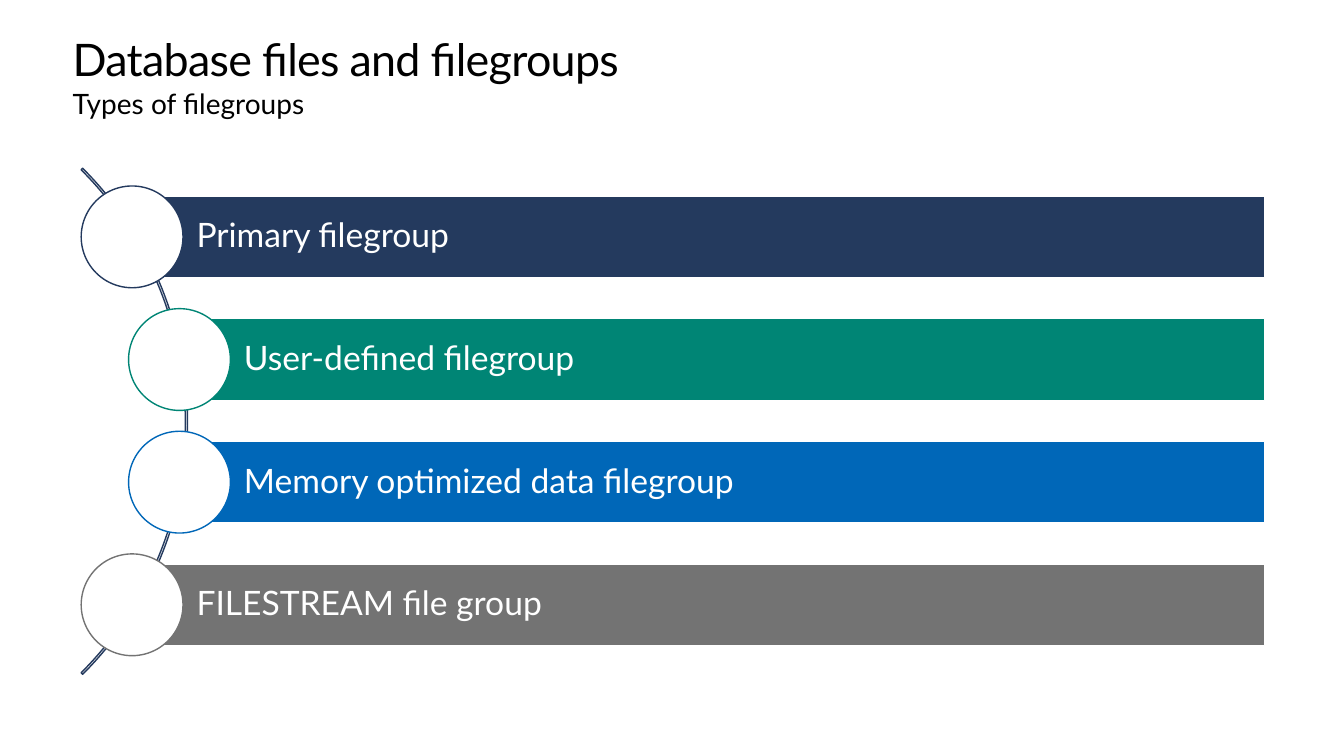
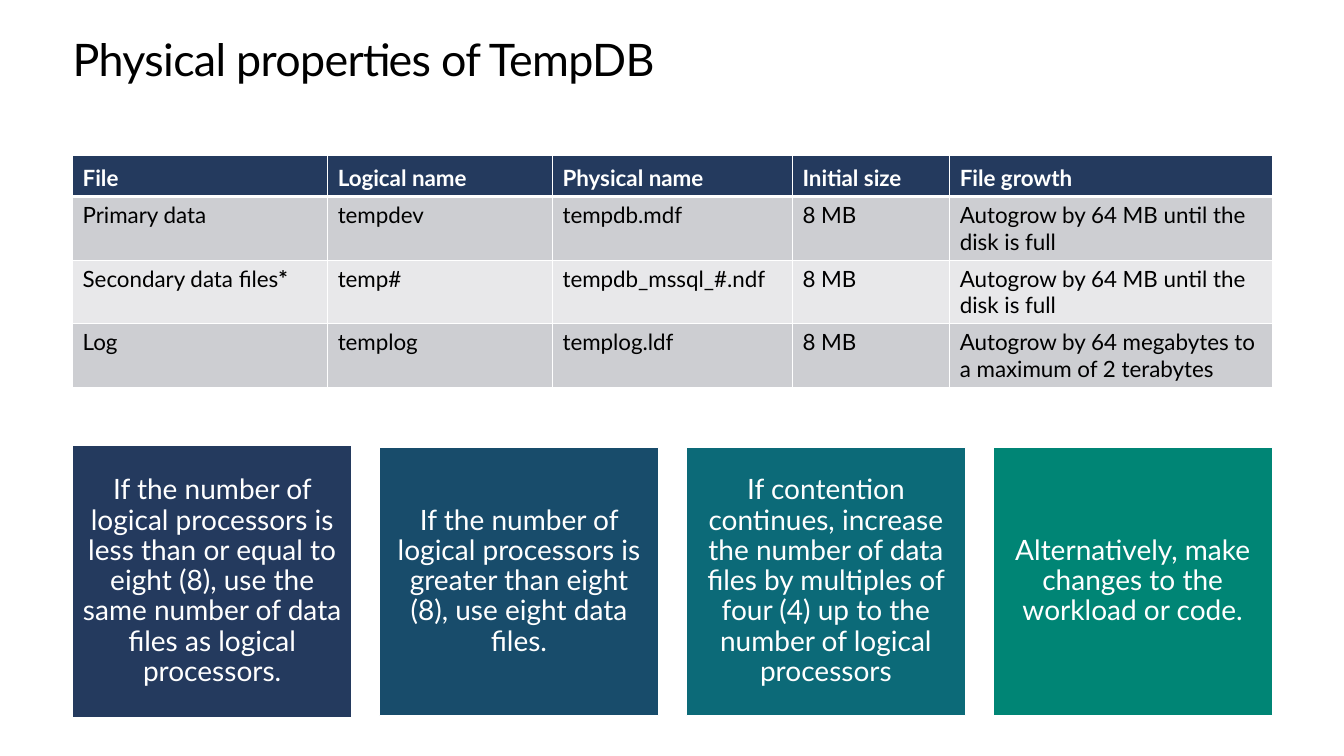
from dataclasses import dataclass

from lxml import etree
from pptx import Presentation
from pptx.dml.color import RGBColor
from pptx.enum.shapes import MSO_SHAPE
from pptx.enum.text import MSO_ANCHOR, PP_ALIGN
from pptx.oxml.ns import qn
from pptx.util import Inches, Pt

RECTANGLE = MSO_SHAPE.RECTANGLE
OVAL = MSO_SHAPE.OVAL
BLOCK_ARC = MSO_SHAPE.BLOCK_ARC
LEFT, CENTER = PP_ALIGN.LEFT, PP_ALIGN.CENTER
TOP, MIDDLE, BOTTOM = MSO_ANCHOR.TOP, MSO_ANCHOR.MIDDLE, MSO_ANCHOR.BOTTOM
TITLE_ONLY = 5


@dataclass(frozen=True)
class Theme:
    font: str = "Lato"
    black: str = "000000"
    white: str = "FFFFFF"
    navy: str = "243A5E"
    steel: str = "184C6B"
    teal: str = "0C6A78"
    green: str = "008575"
    blue: str = "0067B8"
    gray: str = "737373"
    row_dark: str = "CDCED2"
    row_light: str = "E8E8EA"
    title_size: float = 32
    bar_size: float = 24
    text_size: float = 20
    table_size: float = 16
    margin: float = 0.72
    width: float = 11.9


THEME = Theme()


def set_all(target, values):
    for name, value in values.items():
        setattr(target, name, value)


class Deck:
    def __init__(self, theme):
        self.theme = theme
        self.presentation = Presentation()
        self.presentation.slide_width = Inches(13.33)
        self.presentation.slide_height = Inches(7.5)
        self.slide = None

    def add_slide(self, title):
        layout = self.presentation.slide_layouts[TITLE_ONLY]
        self.slide = self.presentation.slides.add_slide(layout)
        placeholder = self.slide.shapes.title
        set_all(placeholder, {"left": Inches(self.theme.margin), "top": Inches(0.35),
                              "width": Inches(self.theme.width), "height": Inches(0.5)})
        self.set_text(placeholder.text_frame, title, self.theme.title_size,
                      self.theme.black, spacing=Pt(36.2))
        run = placeholder.text_frame.paragraphs[0].runs[0]
        run._r.get_or_add_rPr().set("spc", "-50")

    def set_text(self, frame, text, size, color, align=LEFT, anchor=TOP,
                 insets=(0, 0, 0, 0), spacing=1.0):
        """Fill a text frame; insets run left, top, right, bottom."""
        left, top, right, bottom = map(Inches, insets)
        set_all(frame, {"word_wrap": True, "vertical_anchor": anchor,
                        "margin_left": left, "margin_top": top,
                        "margin_right": right, "margin_bottom": bottom})
        paragraph = frame.paragraphs[0]
        set_all(paragraph, {"alignment": align, "line_spacing": spacing})
        self.add_run(paragraph, text, size, color)

    def add_run(self, paragraph, text, size, color, bold=False):
        run = paragraph.add_run()
        run.text = text
        set_all(run.font, {"name": self.theme.font, "size": Pt(size), "bold": bold})
        run.font.color.rgb = RGBColor.from_string(color)

    def add_subtitle(self, text):
        box = self.slide.shapes.add_textbox(
            Inches(self.theme.margin), Inches(0.86), Inches(self.theme.width), Inches(0.5))
        self.set_text(box.text_frame, text, self.theme.text_size, self.theme.black)

    def add_shape(self, kind, left, top, width, height, fill, line):
        shape = self.slide.shapes.add_shape(
            kind, Inches(left), Inches(top), Inches(width), Inches(height))
        shape.shadow.inherit = False
        if fill:
            shape.fill.solid()
            shape.fill.fore_color.rgb = RGBColor.from_string(fill)
        else:
            shape.fill.background()
        shape.line.color.rgb = RGBColor.from_string(line)
        shape.line.width = Pt(1)
        return shape

    def add_arc(self, left, top, diameter, adjustments):
        arc = self.add_shape(BLOCK_ARC, left, top, diameter, diameter,
                             None, self.theme.navy)
        for index, value in enumerate(adjustments):
            arc.adjustments[index] = value

    def add_bar(self, text, left, right, middle, color):
        """Add a labelled bar with a circle centred on its left end."""
        height, diameter = 0.81, 1.01
        bar = self.add_shape(RECTANGLE, left, middle - height / 2, right - left,
                             height, color, self.theme.white)
        self.set_text(bar.text_frame, text, self.theme.bar_size, self.theme.white,
                      anchor=MIDDLE, insets=(0.64, 0.07, 0.07, 0.07), spacing=0.9)
        self.add_shape(OVAL, left - diameter / 2, middle - diameter / 2,
                       diameter, diameter, self.theme.white, color)

    def add_card(self, text, left, top, width, height, color):
        card = self.add_shape(RECTANGLE, left, top, width, height, color, self.theme.white)
        self.set_text(card.text_frame, text, self.theme.text_size, self.theme.white,
                      CENTER, MIDDLE, (0.08,) * 4, 0.9)

    def add_table(self, rows, top, column_widths, row_heights):
        table = self.slide.shapes.add_table(
            len(rows), len(column_widths), Inches(self.theme.margin), Inches(top),
            Inches(sum(column_widths)), Inches(sum(row_heights))).table
        for column, width in zip(table.columns, column_widths):
            column.width = Inches(width)
        for row, height in zip(table.rows, row_heights):
            row.height = Inches(height)
        for row_index, row in enumerate(rows):
            for column_index, text in enumerate(row):
                self.fill_cell(table.cell(row_index, column_index), text, row_index)
        return table

    def fill_cell(self, cell, text, row_index):
        theme = self.theme
        header = row_index == 0
        if header:
            fill = theme.navy
        else:
            fill = theme.row_dark if row_index % 2 else theme.row_light
        cell.fill.solid()
        cell.fill.fore_color.rgb = RGBColor.from_string(fill)
        cell.vertical_anchor = BOTTOM if header else TOP
        self.add_run(cell.text_frame.paragraphs[0], text, theme.table_size,
                     theme.white if header else theme.black, header)
        self.add_borders(cell, {"lnL": 1, "lnR": 1, "lnT": 3 if row_index == 1 else 1,
                                "lnB": 3 if header else 1})

    def add_borders(self, cell, widths):
        properties = cell._tc.get_or_add_tcPr()
        for index, (tag, width) in enumerate(widths.items()):
            line = etree.Element(qn(f"a:{tag}"), w=str(int(Pt(width))))
            solid = etree.SubElement(line, qn("a:solidFill"))
            etree.SubElement(solid, qn("a:srgbClr"), val=self.theme.white)
            properties.insert(index, line)


def build_filegroups(deck):
    deck.add_slide("Database files and filegroups")
    deck.add_subtitle("Types of filegroups")
    deck.add_arc(-5.24, 0.63, 7.1, (189, 27, 0.003))
    outer, inner = 1.31, 1.78
    bars = [
        ("Primary filegroup", outer, THEME.navy),
        ("User-defined filegroup", inner, THEME.green),
        ("Memory optimized data filegroup", inner, THEME.blue),
        ("FILESTREAM file group", outer, THEME.gray),
    ]
    first_middle, last_middle = 2.35, 6
    pitch = (last_middle - first_middle) / (len(bars) - 1)
    for index, (text, left, color) in enumerate(bars):
        deck.add_bar(text, left, 12.54, first_middle + index * pitch, color)


def build_tempdb(deck):
    deck.add_slide("Physical properties of TempDB")
    autogrow = "Autogrow by 64 MB until the disk is full"
    rows = [
        ("File", "Logical name", "Physical name", "Initial size", "File growth"),
        ("Primary data", "tempdev", "tempdb.mdf", "8 MB", autogrow),
        ("Secondary data files", "temp#", "tempdb_mssql_#.ndf", "8 MB", autogrow),
        ("Log", "templog", "templog.ldf", "8 MB",
         "Autogrow by 64 megabytes to a maximum of 2 terabytes"),
    ]
    table = deck.add_table(rows, 1.54, (2.53, 2.23, 2.38, 1.56, 3.2),
                           (0.41, 0.63, 0.63, 0.63))
    deck.add_run(table.cell(2, 0).text_frame.paragraphs[0], "*",
                 THEME.table_size, THEME.black, bold=True)

    cards = [
        ("If the number of logical processors is less than or equal to eight (8), "
         "use the same number of data files as logical processors.", THEME.navy, 2.71),
        ("If the number of logical processors is greater than eight (8), "
         "use eight data files.", THEME.steel, 2.66),
        ("If contention continues, increase the number of data files by multiples "
         "of four (4) up to the number of logical processors", THEME.teal, 2.66),
        ("Alternatively, make changes to the workload or code.", THEME.green, 2.66),
    ]
    width, middle = 2.77, 5.77
    pitch = (THEME.width - width) / (len(cards) - 1)
    for index, (text, color, height) in enumerate(cards):
        deck.add_card(text, THEME.margin + index * pitch, middle - height / 2,
                      width, height, color)


def main():
    deck = Deck(THEME)
    build_filegroups(deck)
    build_tempdb(deck)
    deck.presentation.save("out.pptx")


if __name__ == "__main__":
    main()
